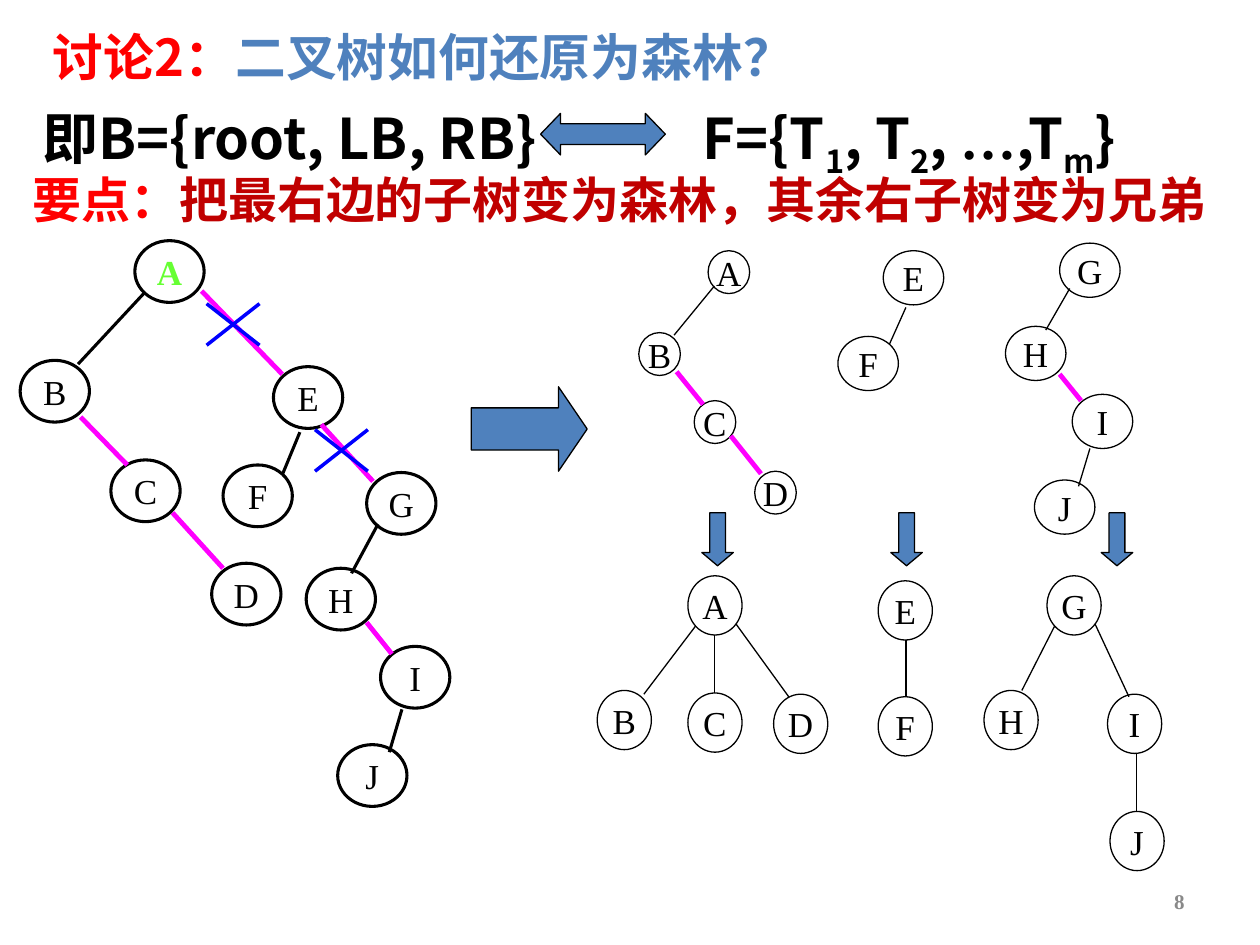
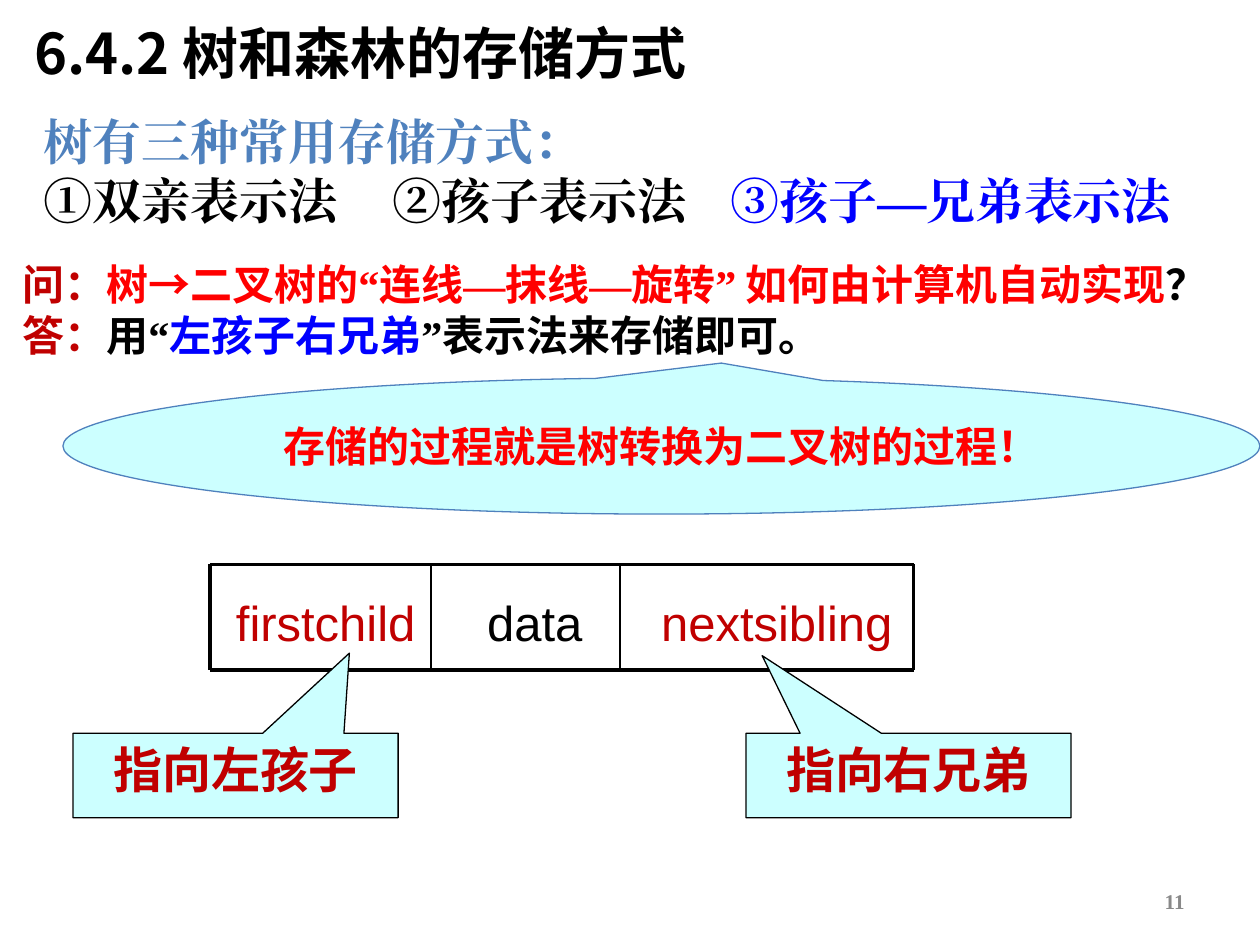
from lxml.etree import SubElement
from pptx import Presentation
from pptx.dml.color import RGBColor
from pptx.enum.shapes import MSO_CONNECTOR, MSO_SHAPE
from pptx.enum.text import MSO_ANCHOR, MSO_AUTO_SIZE, PP_ALIGN
from pptx.oxml.ns import qn
from pptx.util import Inches, Pt

BLACK = RGBColor(0, 0, 0)
WHITE = RGBColor(255, 255, 255)
RED = RGBColor(255, 0, 0)
DARK = RGBColor(0xC0, 0, 0)
STEEL = RGBColor(0x4F, 0x81, 0xBD)
BLUE = RGBColor(0, 0, 255)
PINK = RGBColor(255, 0, 255)
GREEN = RGBColor(0x66, 255, 0x33)
AQUA = RGBColor(0xCC, 255, 255)
GRAY = RGBColor(0x89, 0x89, 0x89)

HAN, ROMAN, SANS = "Noto Sans CJK SC", "Times New Roman", "Arial"
WIDE, HIGH = Inches(10), Inches(7.5)
CELL = WIDE / 100

TITLE = {"size": 32, "name": HAN, "bold": True}
POINT = {"size": 28, "name": HAN, "bold": True}
LIST = {"size": 28, "name": ROMAN, "bold": True}
ASK = {"size": 24, "name": HAN, "bold": True}
NODE = {"size": 20, "name": ROMAN}
FIELD = {"size": 28, "name": SANS}
PAGE = {"size": 12, "name": ROMAN, "bold": True, "color": GRAY}
SUB = {"base": -25000}
TIMES = {"name": ROMAN}
MIDDLE = {"anchor": MSO_ANCHOR.MIDDLE}
PAGE_BOX = (71.7, 69.5, 23.3, 4)

HEAD_1 = [[("讨论2：", {"size": 29, "color": RED}),
           ("二叉树如何还原为森林？", {"size": 29, "color": STEEL})]]
KEY = [[("要点：", {"color": RED}),
        ("把最右边的子树变为森林，其余右子树变为兄弟", {"color": DARK}),
        (" ", {"size": 32})]]
RULE = [[("即B={root, LB, RB}\tF={T", {}), ("1", SUB), (", T", {}), ("2", SUB),
         (", ", {}), ("…", TIMES), (",T", {}), ("m", SUB), ("}", {})]]

TREES = [
    {"size": (5.5, 4.9), "line": 1.75,
     "nodes": {"A": (10.7, 19.1), "B": (1.6, 28.6), "C": (8.8, 36.5),
               "D": (16.8, 44.7), "E": (21.7, 29.1), "F": (17.7, 36.9),
               "G": (29.1, 37.5), "H": (24.3, 45.1), "J": (26.8, 59.1),
               "I": (30.2, 51.3)},
     "plain": [(11.5, 23.2, 6.2, 28.9), (23.8, 34.3, 22.4, 37.7),
               (31.9, 56.3, 30.9, 59.7), (30, 41.6, 27.9, 45.5)],
     "pink": [(16, 23.1, 22.4, 29.7), (25.5, 33.7, 29.6, 38.2),
              (6.4, 33.1, 10.1, 36.9), (13.7, 40.7, 17.7, 45.1),
              (29.1, 49.4, 31.1, 51.9)]},
    {"size": (4.3, 4.7), "line": 0.75,
     "nodes": {"A": (54.6, 45.7), "B": (47.4, 54.8), "C": (54.6, 55),
               "D": (61.4, 55.1)},
     "plain": [(56.7, 50.4, 56.7, 55), (55.2, 49.7, 51.1, 55.1),
               (58.4, 49.5, 62.6, 55.3)], "pink": []},
    {"size": (4.3, 4.7), "line": 0.75,
     "nodes": {"E": (69.7, 46.1), "F": (69.7, 55.3)},
     "plain": [(71.9, 50.8, 71.9, 55.3)], "pink": []},
    {"size": (4.3, 4.7), "line": 0.75,
     "nodes": {"G": (83.1, 45.7), "H": (78.1, 54.8), "J": (88.1, 64.4),
               "I": (87.9, 55.1)},
     "plain": [(90.2, 59.8, 90.2, 64.4), (83.7, 49.7, 81.1, 54.8),
               (86.9, 49.5, 89.6, 55.3)], "pink": []},
    {"size": (4.8, 4.3), "line": 0.75,
     "nodes": {"E": (70.1, 19.9), "F": (66.5, 26.7)},
     "plain": [(71.9, 24.4, 70.6, 27.3)], "pink": []},
    {"size": (3.3, 3.4), "line": 0.75,
     "nodes": {"A": (56.2, 19.9), "B": (50.7, 26.4), "C": (55.1, 31.8),
               "D": (59.9, 37.4)},
     "plain": [(56.7, 22.7, 53.5, 26.6)],
     "pink": [(53.7, 29.5, 55.8, 32.1), (58, 34.6, 60.4, 37.6)]},
    {"size": (4.8, 4.3), "line": 0.75,
     "nodes": {"G": (84.1, 19.3), "H": (79.8, 25.9), "J": (82.1, 38.1),
               "I": (85.1, 31.3)},
     "plain": [(86.5, 35.6, 85.6, 38.6), (84.9, 22.9, 83, 26.2)],
     "pink": [(84.1, 29.7, 85.8, 31.8)]},
]
CUTS = [(25, 34.1), (16.4, 24.1)]
CUT_W, CUT_H = 4.2, 3.3
ARROWS = [(MSO_SHAPE.LEFT_RIGHT_ARROW, (42.9, 9, 9.9, 3.3), (0.5, 0.48)),
          (MSO_SHAPE.RIGHT_ARROW, (37.4, 30.7, 9.2, 6.7), (0.5, 0.34))]
ARROWS += [(MSO_SHAPE.DOWN_ARROW, (left, 40.7, 2.5, 4.2), (0.5, 0.42))
           for left in (55.7, 70.7, 87.4)]

HEAD_2 = [[("6.4.2 树和森林的存储方式", {})]]
WAYS = [[("树有三种常用存储方式：", {"color": STEEL})],
        [("①双亲表示法\t②孩子表示法\t", {}),
         ("③孩子—兄弟表示法", {"color": BLUE})]]
HOT = {"color": RED}
HOT_TIMES = {**HOT, **TIMES}
TALK = [[("问：", {"color": DARK}), ("树→二叉树的", HOT), ("“", HOT_TIMES),
         ("连线", HOT), ("—", HOT_TIMES), ("抹线", HOT), ("—", HOT_TIMES),
         ("旋转", HOT), ("”", HOT_TIMES), (" 如何由计算机自动实现", HOT), ("？", {})],
        [("答：", {"color": DARK}), ("用", {}), ("“", TIMES),
         ("左孩子右兄弟", {"color": BLUE}), ("”", TIMES),
         ("表示法来存储即可。", {})]]
FIELDS = [("firstchild", 17.5, 16.7, DARK), ("data", 35.8, 13.3, BLACK),
          ("nextsibling", 50.8, 21.7, DARK)]
EDGES = [(16.7, 2.25), (34.2, 1), (49.2, 1), (72.5, 2.25)]
TOP, BASE = 44.8, 53.2
NOTES = [("指向左孩子", 5.8, (0.35, -1.45)), ("指向右兄弟", 59.2, (-0.45, -1.42))]
CLOUD = [[("存储的过程就是树转换为二叉树的过程！", HOT)]]


def grid(box):
    return [round(part * CELL) for part in box]


def style(run, form):
    form = {"color": BLACK, "bold": False, **form}
    run.font.color.rgb = form.pop("color")
    run.font.size = Pt(form.pop("size"))
    mark = run._r.get_or_add_rPr()
    if "base" in form:
        mark.set("baseline", str(form.pop("base")))
    for key, value in form.items():
        setattr(run.font, key, value)
    SubElement(mark, qn("a:ea")).set("typeface", form["name"])


def write(shape, lines, base, frame={}, para={}, tabs=(), hang=0):
    text = shape.text_frame
    form = {"word_wrap": True, "auto_size": MSO_AUTO_SIZE.NONE,
            "vertical_anchor": frame.get("anchor", MSO_ANCHOR.TOP)}
    form.update({key: value for key, value in frame.items() if key != "anchor"})
    for key, value in form.items():
        setattr(text, key, value)
    for row, line in enumerate(lines):
        part = text.add_paragraph() if row else text.paragraphs[0]
        for key, value in {"alignment": PP_ALIGN.LEFT, **para}.items():
            setattr(part, key, value)
        props = part._p.get_or_add_pPr()
        if hang:
            props.set("marL", str(Inches(hang)))
            props.set("indent", str(-Inches(hang)))
        if tabs:
            stops = SubElement(props, qn("a:tabLst"))
            for stop in tabs:
                tab = SubElement(stops, qn("a:tab"))
                tab.set("pos", str(Inches(stop)))
                tab.set("algn", "l")
        for words, extra in line:
            run = part.add_run()
            run.text = words
            style(run, {**base, **extra})


def label(slide, box, lines, base, **form):
    write(slide.shapes.add_textbox(*grid(box)), lines, base, **form)


def draw(slide, kind, box, fill, width=0.75, line=BLACK, bends=()):
    shape = slide.shapes.add_shape(kind, *grid(box))
    shape.shadow.inherit = False
    shape.fill.solid()
    shape.fill.fore_color.rgb = fill
    shape.line.color.rgb = line
    shape.line.width = Pt(width)
    for spot, bend in enumerate(bends):
        shape.adjustments[spot] = bend
    return shape


def link(slide, ends, width, color=BLACK):
    line = slide.shapes.add_connector(MSO_CONNECTOR.STRAIGHT, *grid(ends))
    line.line.color.rgb = color
    line.line.width = Pt(width)
    SubElement(line._element.spPr, qn("a:effectLst"))


def start(deck, box, head, page):
    slide = deck.slides.add_slide(deck.slide_layouts[5])
    title = slide.shapes.title
    for key, value in zip(("left", "top", "width", "height"), grid(box)):
        setattr(title, key, value)
    write(title, head, TITLE, MIDDLE)
    label(slide, PAGE_BOX, [[(page, {})]], PAGE, frame=MIDDLE,
          para={"alignment": PP_ALIGN.RIGHT})
    return slide


def plant(slide, tree, first):
    for name, spot in tree["nodes"].items():
        node = draw(slide, MSO_SHAPE.OVAL, (*spot, *tree["size"]), WHITE, tree["line"])
        look = {"color": GREEN, "bold": True} if first and name == "A" else {}
        write(node, [[(name, look)]], NODE, {**MIDDLE, "word_wrap": False}, CENTER)
    for ends in tree["plain"]:
        link(slide, ends, tree["line"])
    for ends in tree["pink"]:
        link(slide, ends, 2.75, PINK)


CENTER = {"alignment": PP_ALIGN.CENTER}


def forest(deck):
    slide = start(deck, (3.2, 1.6, 73.3, 5.8), HEAD_1, "8")
    label(slide, (1.6, 12.4, 100, 6.3), KEY, POINT)
    label(slide, (2.4, 7.7, 90, 6.3), RULE, TITLE, tabs=[5.24])
    for tree in TREES:
        plant(slide, tree, tree is TREES[0])
    for left, top in CUTS:
        right, base = left + CUT_W, top + CUT_H
        link(slide, (left, top, right, base), 2, BLUE)
        link(slide, (right, top, left, base), 2, BLUE)
    for kind, box, bends in ARROWS:
        draw(slide, kind, box, STEEL, bends=bends)


def store(deck):
    slide = start(deck, (1.7, 1, 69.2, 6.3), HEAD_2, "11")
    label(slide, (2.5, 8.3, 93.3, 10.3), WAYS, LIST,
          para={"line_spacing": Pt(34)}, tabs=[2.77, 5.45])
    for name, left, width, color in FIELDS:
        label(slide, (left, 46.5, width, 5.8), [[(name, {"color": color})]], FIELD,
              para={**CENTER, "space_before": Pt(3.5)})
    for level in (TOP, BASE):
        link(slide, (EDGES[0][0], level, EDGES[-1][0], level), 2.25)
    for left, width in EDGES:
        link(slide, (left, TOP, left, BASE), width)
    for words, left, bends in NOTES:
        note = draw(slide, MSO_SHAPE.RECTANGULAR_CALLOUT, (left, 58.2, 25.8, 6.7),
                    AQUA, bends=bends)
        write(note, [[(words, {"color": DARK})]], POINT, para=CENTER)
    label(slide, (0.8, 20, 100.2, 9.1), TALK, ASK,
          para={"line_spacing": Pt(29)}, hang=0.94)
    cloud = draw(slide, MSO_SHAPE.OVAL_CALLOUT, (5, 30, 95, 10.8), AQUA,
                 line=STEEL, bends=(0.05, -0.61))
    write(cloud, CLOUD, ASK, MIDDLE, CENTER)


def main():
    deck = Presentation()
    deck.slide_width, deck.slide_height = WIDE, HIGH
    forest(deck)
    store(deck)
    deck.save("out.pptx")


if __name__ == "__main__":
    main()
